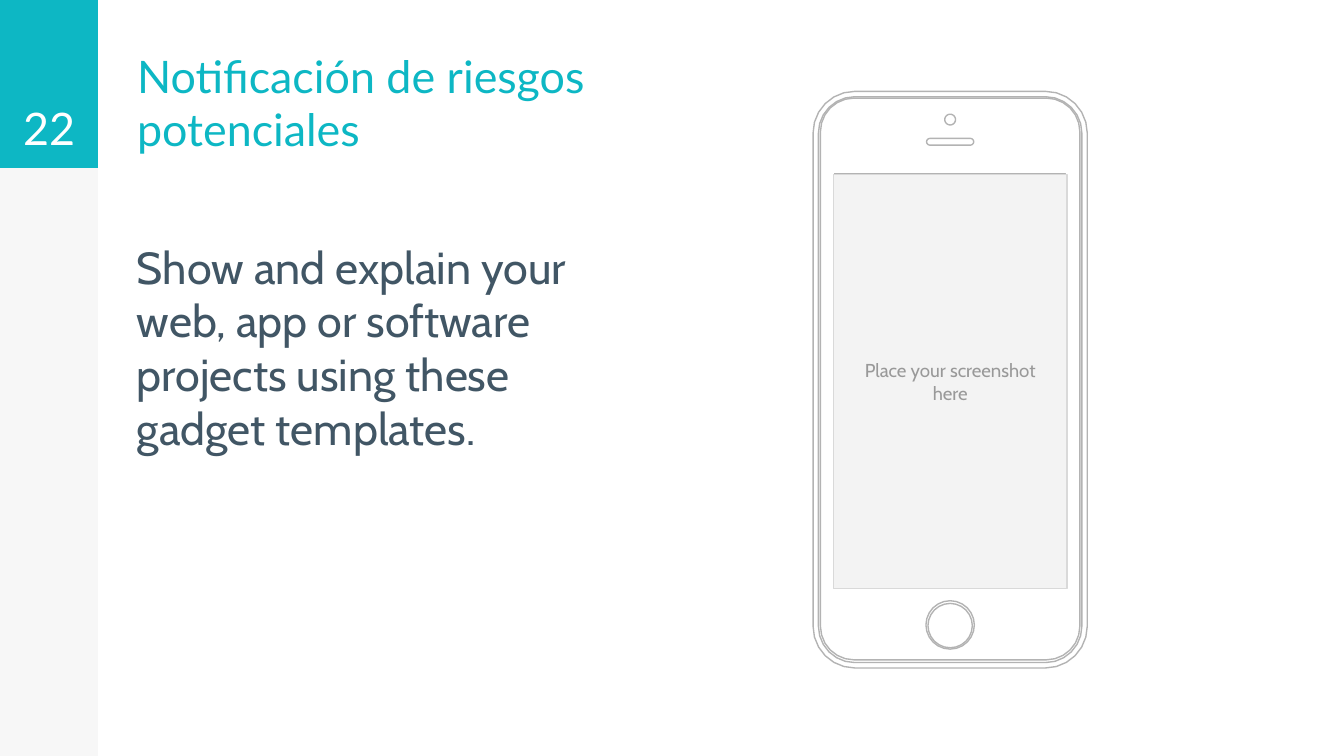
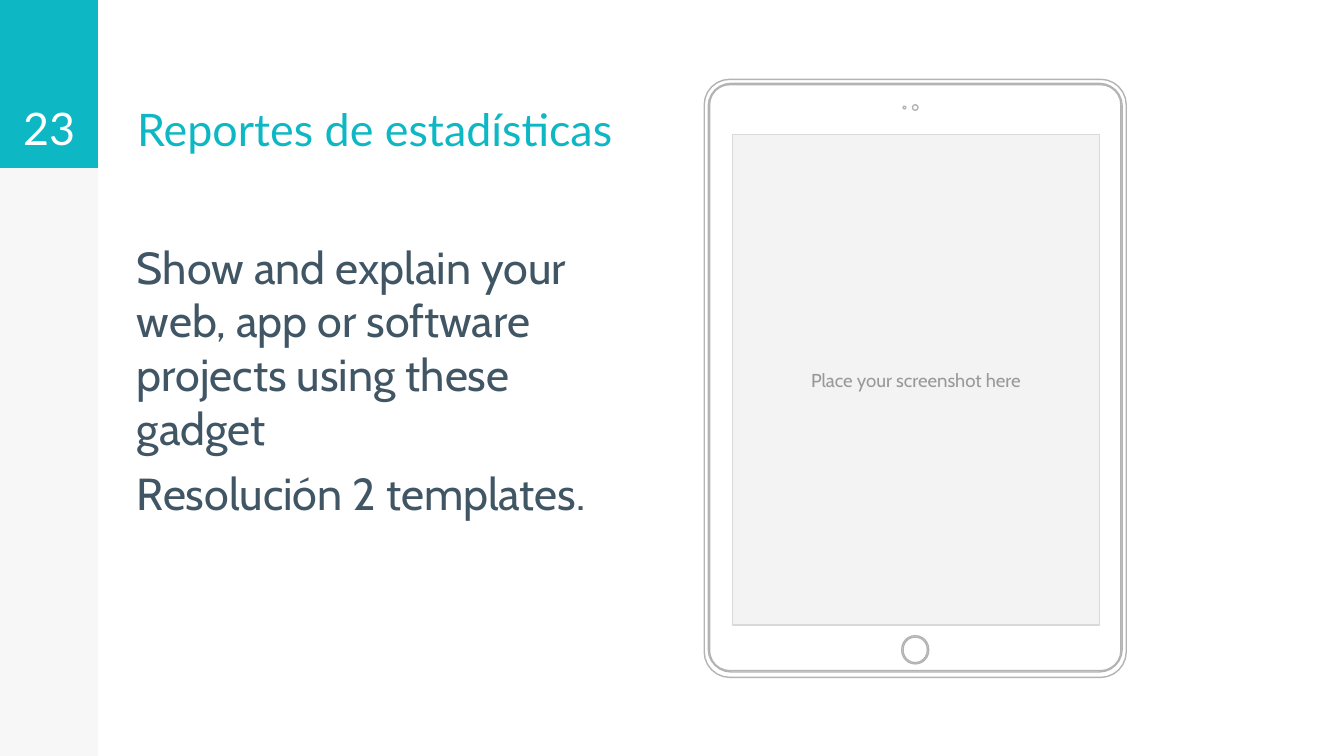
from math import cos, pi, sin
from lxml import etree
from pptx import Presentation
from pptx.dml.color import RGBColor
from pptx.enum.shapes import MSO_SHAPE
from pptx.enum.text import MSO_ANCHOR, MSO_AUTO_SIZE, PP_ALIGN
from pptx.oxml.ns import qn
from pptx.util import Inches, Pt

RECTANGLE = MSO_SHAPE.RECTANGLE
TOP, MIDDLE, BOTTOM = MSO_ANCHOR.TOP, MSO_ANCHOR.MIDDLE, MSO_ANCHOR.BOTTOM
LEFT, CENTER = PP_ALIGN.LEFT, PP_ALIGN.CENTER
NO_AUTOFIT = MSO_AUTO_SIZE.NONE
TITLE_ONLY = 5

TEAL, SLATE, WHITE, BLACK = "0DB7C4", "415665", "FFFFFF", "000000"
OUTLINE, SCREEN, SCREEN_EDGE, HINT = "B3B3B3", "F3F3F3", "D9D9D9", "999999"

prs = Presentation()
prs.slide_width, prs.slide_height = Inches(10), Inches(5.625)
SHARE = prs.slide_width / 100
FULL_HEIGHT = prs.slide_height / SHARE
RAIL, HEADER = 7.3, 12.5
TEXT_LEFT, TEXT_WIDTH = 9.2, 38.9
BODY_TOP, BODY_HEIGHT = 16.8, 37.1
CORNER_STEPS = 6

PITCH = "Show and explain your web, app or software projects using these gadget"

# axis, parts as (offset from axis, top, width, height, corner radius), screen
phone = (70.7, [
    (0, 6.8, 20.4, 42.9, 3.1), (0, 7.2, 19.6, 42.1, 2.7), (0, 7.3, 19.3, 41.8, 2.5),
    (0, 12.9, 17.2, 30.6, 0), (0, 44.7, 3.6, 3.6, 1.8), (0, 44.9, 3.3, 3.3, 1.65),
    (0, 10.3, 3.5, 0.5, 0.25), (0, 8.5, 0.8, 0.8, 0.4),
], (62, 13, 17.4, 30.8))
tablet = (68.1, [
    (0, 5.9, 31.4, 44.5, 1.9), (0, 6.2, 30.8, 43.8, 1.7), (0, 6.3, 30.6, 43.6, 1.5),
    (0, 10, 27.2, 36.3, 0), (0, 47.3, 2, 2.1, 1), (0, 47.4, 1.8, 1.9, 0.9),
    (0, 7.8, 0.4, 0.4, 0.2), (-0.8, 7.9, 0.2, 0.2, 0.1),
], (54.5, 10, 27.3, 36.5))
pages = [
    ("22", "Notificación de riesgos potenciales", [PITCH + " templates."], phone),
    ("23", "Reportes de estadísticas", [PITCH, "Resolución 2 templates."], tablet),
]


def paint(shape, fill, line=None):
    shape.shadow.inherit = False
    shape.fill.solid()
    shape.fill.fore_color.rgb = RGBColor.from_string(fill)
    if line:
        shape.line.color.rgb = RGBColor.from_string(line)
        shape.line.width = Pt(0.75)
    else:
        shape.line.fill.background()


def write(shape, lines, font, size, color, align, anchor, before=0):
    frame = shape.text_frame
    frame.word_wrap = True
    frame.auto_size = NO_AUTOFIT
    frame.vertical_anchor = anchor
    frame.margin_left = frame.margin_right = Inches(0.1)
    frame.margin_top = frame.margin_bottom = Inches(0.1)
    frame.text = "\n".join(lines)
    for paragraph in frame.paragraphs:
        paragraph.alignment = align
        paragraph.space_before = Pt(before)
        paragraph.font.name = font
        paragraph.font.size = Pt(size)
        paragraph.font.color.rgb = RGBColor.from_string(color)


for number, heading, body_lines, (axis, parts, screen_area) in pages:
    slide = prs.slides.add_slide(prs.slide_layouts[TITLE_ONLY])
    shapes = slide.shapes

    for height, color in [(FULL_HEIGHT, BLACK), (HEADER, TEAL)]:
        band = shapes.add_shape(RECTANGLE, 0, 0, int(RAIL * SHARE), int(height * SHARE))
        paint(band, color)
        if color == BLACK:
            tint = next(band.fill._xPr.iter(qn("a:srgbClr")))
            etree.SubElement(tint, qn("a:alpha"), val="3000")

    device = None
    for offset, top, width, height, radius in parts:
        middle_x, middle_y = axis + offset, top + height / 2
        points = []
        for quarter, (side_x, side_y) in enumerate([(1, 1), (-1, 1), (-1, -1), (1, -1)]):
            for step in range(CORNER_STEPS + 1 if radius else 1):
                angle = (quarter + step / CORNER_STEPS) * pi / 2
                x = middle_x + side_x * (width / 2 - radius) + radius * cos(angle)
                y = middle_y + side_y * (height / 2 - radius) + radius * sin(angle)
                points.append((int(x * SHARE), int(y * SHARE)))
        if device is None:
            device = shapes.build_freeform(*points[0])
        else:
            device.move_to(*points[0])
        device.add_line_segments(points[1:], close=True)
    paint(device.convert_to_shape(), WHITE, OUTLINE)

    screen = shapes.add_shape(RECTANGLE, *[int(v * SHARE) for v in screen_area])
    paint(screen, SCREEN, SCREEN_EDGE)
    write(screen, ["Place your screenshot here"], "Cabin", 10, HINT, CENTER, MIDDLE)

    page_number = shapes.add_textbox(0, 0, int(RAIL * SHARE), int(HEADER * SHARE))
    write(page_number, [number], "Lato", 24, WHITE, CENTER, BOTTOM)

    title = shapes.title
    title.left, title.top = int(TEXT_LEFT * SHARE), int(0.1 * SHARE)
    title.width, title.height = int(TEXT_WIDTH * SHARE), int(HEADER * SHARE)
    write(title, [heading], "Lato", 24, TEAL, LEFT, BOTTOM)

    body_area = (TEXT_LEFT, BODY_TOP, TEXT_WIDTH, BODY_HEIGHT)
    body = shapes.add_textbox(*[int(v * SHARE) for v in body_area])
    write(body, body_lines, "Cabin", 24, SLATE, LEFT, TOP, before=6)

prs.save("out.pptx")
